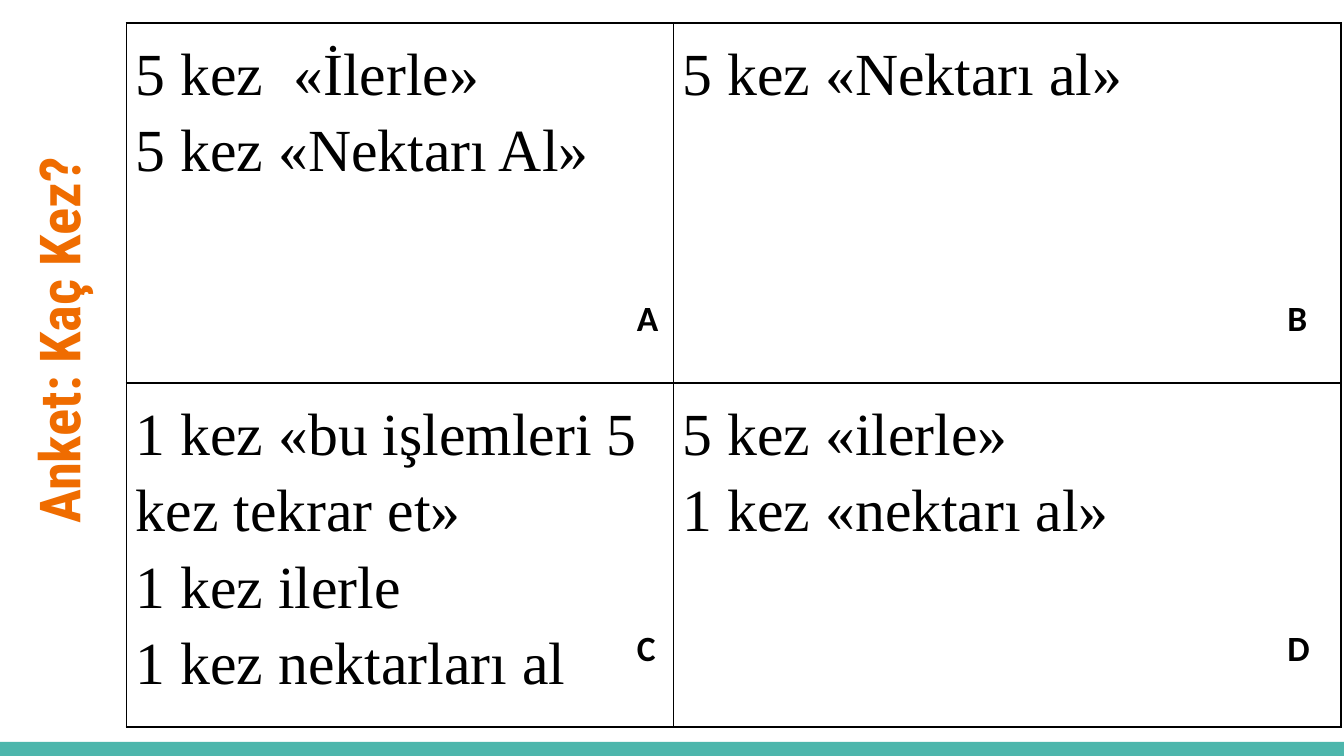
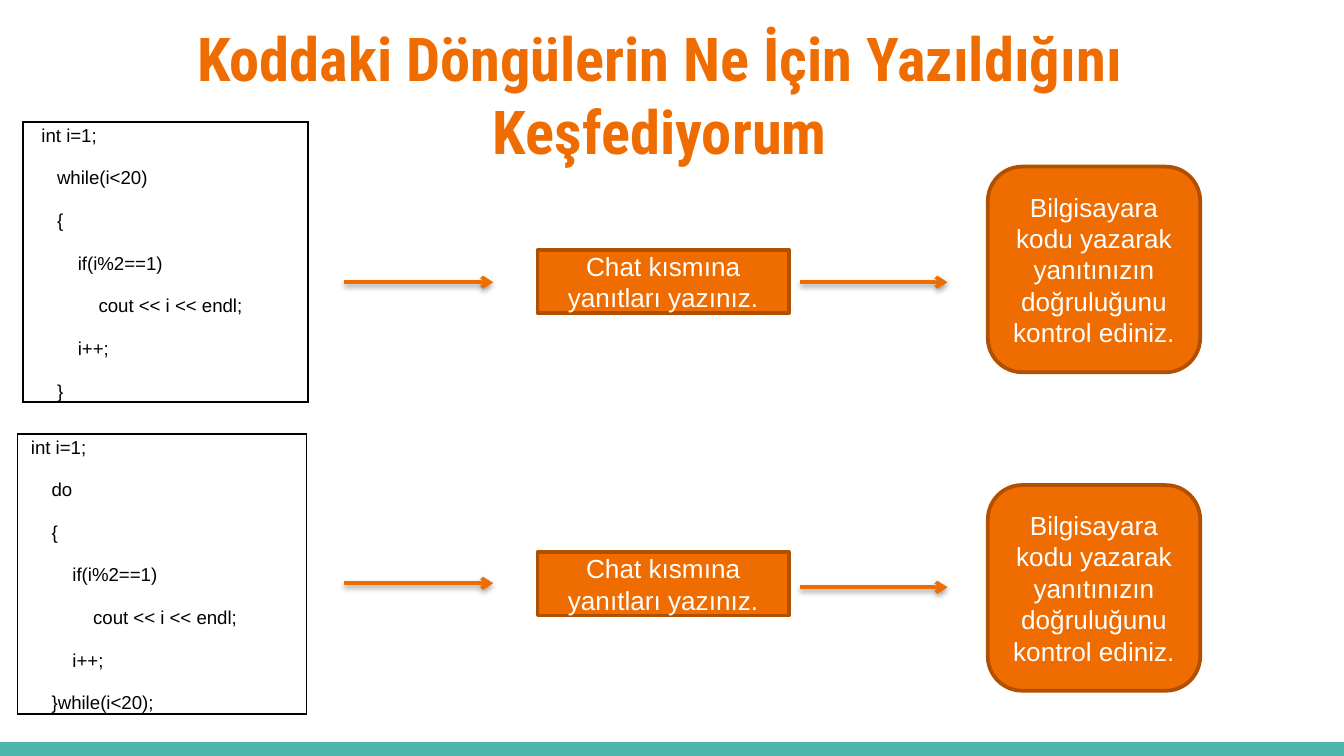
from dataclasses import dataclass

from lxml.etree import SubElement
from pptx import Presentation
from pptx.dml.color import RGBColor
from pptx.enum.shapes import MSO_CONNECTOR, MSO_SHAPE
from pptx.enum.text import MSO_ANCHOR, MSO_AUTO_SIZE, PP_ALIGN
from pptx.oxml import parse_xml
from pptx.oxml.ns import nsdecls, qn
from pptx.util import Inches, Pt

# Content
SURVEY_TITLE = "Anket: Kaç Kez?"
SURVEY_ANSWERS = [
    [["5 kez  «İlerle»", "5 kez «Nektarı Al»"], ["5 kez «Nektarı al»"]],
    [["1 kez «bu işlemleri 5 kez tekrar et»", "1 kez ilerle", "1 kez nektarları al"],
     ["5 kez «ilerle»", "1 kez «nektarı al»"]],
]
ANSWER_LETTERS = ["AB", "CD"]

CODE_TITLE = "Koddaki Döngülerin Ne İçin Yazıldığını Keşfediyorum"
CHAT_STEP = "Chat kısmına yanıtları yazınız."
CHECK_STEP = "Bilgisayara kodu yazarak yanıtınızın doğruluğunu kontrol ediniz."
LOOP_BODY = [(4, "{"), (8, "if(i%2==1)"), (12, "cout << i << endl;"), (8, "i++;")]
# Each code line: (columns of indent, text)
LOOPS = [
    {"code": [(1, "int i=1;"), (4, "while(i<20)"), *LOOP_BODY, (4, "}")],
     "frame": (0.17, 0.91, 2.12, 2.04), "chat_top": 1.86, "check_top": 1.24,
     "arrow_levels": (2.1, 2.1)},
    {"code": [(0, "int i=1;"), (4, "do"), *LOOP_BODY, (4, "}while(i<20);")],
     "frame": (0.13, 3.23, 2.15, 2.04), "chat_top": 4.11, "check_top": 3.61,
     "arrow_levels": (4.34, 4.37)},
]
ARROW_SPANS = [(2.56, 3.67), (5.95, 7.05)]


@dataclass(frozen=True)
class Theme:
    orange: str = "EF6C00"
    dark_orange: str = "B15000"
    teal: str = "4DB6AC"
    black: str = "000000"
    white: str = "FFFFFF"
    title_font: str = "Roboto Condensed"
    answer_font: str = "Times New Roman"
    letter_font: str = "Calibri"
    body_font: str = "Arial"
    side_title_size: float = 30.4
    title_size: float = 32.4
    answer_size: int = 32
    letter_size: int = 19
    step_size: int = 14
    code_size: int = 10
    code_column: float = 2.78


THEME = Theme()


# Helpers
def color(value):
    return RGBColor.from_string(value)


def place(left, top, width, height):
    return [Inches(value) for value in (left, top, width, height)]


def write(frame, text, size, font, cell=None, ink=THEME.black, bold=False,
          align=PP_ALIGN.LEFT, anchor=MSO_ANCHOR.TOP, insets=(0.1, 0.05), indents=(),
          spacing=None, after=None):
    """Write one paragraph per line; a table cell carries its own insets and anchor."""
    holder = cell or frame
    holder.vertical_anchor = anchor
    holder.margin_left = holder.margin_right = Inches(insets[0])
    holder.margin_top = holder.margin_bottom = Inches(insets[1])
    if cell is None:
        frame.word_wrap = True
    for index, line in enumerate(text.split("\n")):
        para = frame.add_paragraph() if index else frame.paragraphs[0]
        para.alignment = align
        if spacing:
            para.line_spacing = spacing
        if after:
            para.space_after = Pt(after)
        if indents:
            properties = para._p.get_or_add_pPr()
            properties.set("marL", str(int(indents[index])))
            properties.set("indent", "0")
        span = para.add_run()
        span.text = line
        span.font.name = font
        span.font.size = Pt(size)
        span.font.bold = bold
        span.font.color.rgb = color(ink)


def add_box(page, kind, frame, fill, line=None):
    box = page.shapes.add_shape(kind, *place(*frame))
    box.shadow.inherit = False
    box.fill.solid()
    box.fill.fore_color.rgb = color(fill)
    if line:
        box.line.color.rgb = color(line)
        box.line.width = Pt(2)
    else:
        box.line.fill.background()
    return box


def add_step(page, kind, frame, text):
    box = add_box(page, kind, frame, THEME.orange, THEME.dark_orange)
    write(box.text_frame, text, THEME.step_size, THEME.body_font, ink=THEME.white,
          align=PP_ALIGN.CENTER, anchor=MSO_ANCHOR.MIDDLE)


def add_arrow(page, start, end, level):
    arrow = page.shapes.add_connector(MSO_CONNECTOR.STRAIGHT, Inches(start), Inches(level),
                                      Inches(end), Inches(level))
    arrow.line.color.rgb = color(THEME.orange)
    arrow.line.width = Pt(2)
    SubElement(arrow.line._get_or_add_ln(), qn("a:tailEnd"), type="arrow")
    arrow._element.spPr.append(parse_xml(
        f'<a:effectLst {nsdecls("a")}><a:outerShdw blurRad="{Pt(3.1)}" dist="{Pt(1.6)}" '
        f'dir="5400000" rotWithShape="0"><a:srgbClr val="{THEME.black}">'
        '<a:alpha val="38000"/></a:srgbClr></a:outerShdw></a:effectLst>'))


def add_grid(page, left, top, widths, heights):
    """Add an unfilled table with thin black borders."""
    table = page.shapes.add_table(len(heights), len(widths), *place(
        left, top, sum(widths), sum(heights))).table
    table.first_row = table.horz_banding = False
    for column, width in zip(table.columns, widths):
        column.width = Inches(width)
    for row, height in zip(table.rows, heights):
        row.height = Inches(height)
    for cell in table.iter_cells():
        properties = cell._tc.get_or_add_tcPr()
        for side in ("lnL", "lnR", "lnT", "lnB"):
            border = SubElement(properties, qn(f"a:{side}"), w=str(Pt(1)))
            SubElement(SubElement(border, qn("a:solidFill")), qn("a:srgbClr"), val=THEME.black)
        cell.fill.background()
    return table


def add_page(deck, title, frame, size, rotation=0, **text_format):
    page = deck.slides.add_slide(deck.slide_layouts[5])
    box = page.shapes.title
    box.left, box.top, box.width, box.height = place(*frame)
    box.rotation = rotation
    box.text_frame.auto_size = MSO_AUTO_SIZE.NONE
    write(box.text_frame, title, size, THEME.title_font, ink=THEME.orange, bold=True,
          insets=(0.1, 0.1), **text_format)
    return page


def add_footer_band(deck, page):
    """Draw the band, then move it to the master so every slide shows it."""
    band = add_box(page, MSO_SHAPE.RECTANGLE, (0, 5.52, 10, 0.11), THEME.teal)
    deck.slide_master.shapes.element.append(band.element)


# Slides
def build_survey(deck):
    page = add_page(deck, SURVEY_TITLE, (-4.2, 0.41, 9.32, 0.77), THEME.side_title_size,
                    rotation=270, indents=[Inches(1.46)])
    add_footer_band(deck, page)
    table = add_grid(page, 0.94, 0.17, [4.07, 4.97], [2.68, 2.56])
    for row, answers in enumerate(SURVEY_ANSWERS):
        for column, lines in enumerate(answers):
            cell = table.cell(row, column)
            write(cell.text_frame, "\n".join(lines), THEME.answer_size, THEME.answer_font,
                  cell=cell, insets=(0.07, 0.07), spacing=1.15)
    for letters, top in zip(ANSWER_LETTERS, (2.1, 4.56)):
        for letter, left in zip(letters, (4.64, 9.48)):
            box = page.shapes.add_textbox(*place(left, top, 0.65, 0.52))
            box.text_frame.auto_size = MSO_AUTO_SIZE.SHAPE_TO_FIT_TEXT
            write(box.text_frame, letter, THEME.letter_size, THEME.letter_font,
                  bold=True, insets=(0.1, 0.1))


def build_code(deck):
    page = add_page(deck, CODE_TITLE, (0.25, 0.06, 9.32, 0.77), THEME.title_size,
                    align=PP_ALIGN.CENTER)
    for loop in LOOPS:
        left, top, width, height = loop["frame"]
        cell = add_grid(page, left, top, [width], [height]).cell(0, 0)
        columns, lines = zip(*loop["code"])
        write(cell.text_frame, "\n".join(lines), THEME.code_size, THEME.body_font, cell=cell,
              align=PP_ALIGN.JUSTIFY, insets=(0.1, 0), spacing=1.15, after=10,
              indents=[Pt(THEME.code_column * count) for count in columns])
        add_step(page, MSO_SHAPE.RECTANGLE, (4, loop["chat_top"], 1.87, 0.47), CHAT_STEP)
        add_step(page, MSO_SHAPE.ROUNDED_RECTANGLE, (7.35, loop["check_top"], 1.58, 1.53),
                 CHECK_STEP)
        for (start, end), level in zip(ARROW_SPANS, loop["arrow_levels"]):
            add_arrow(page, start, end, level)


def main():
    deck = Presentation()
    # Widescreen, 16:9
    deck.slide_width = Inches(10)
    deck.slide_height = deck.slide_width * 9 // 16
    build_survey(deck)
    build_code(deck)
    deck.save("out.pptx")


if __name__ == "__main__":
    main()
